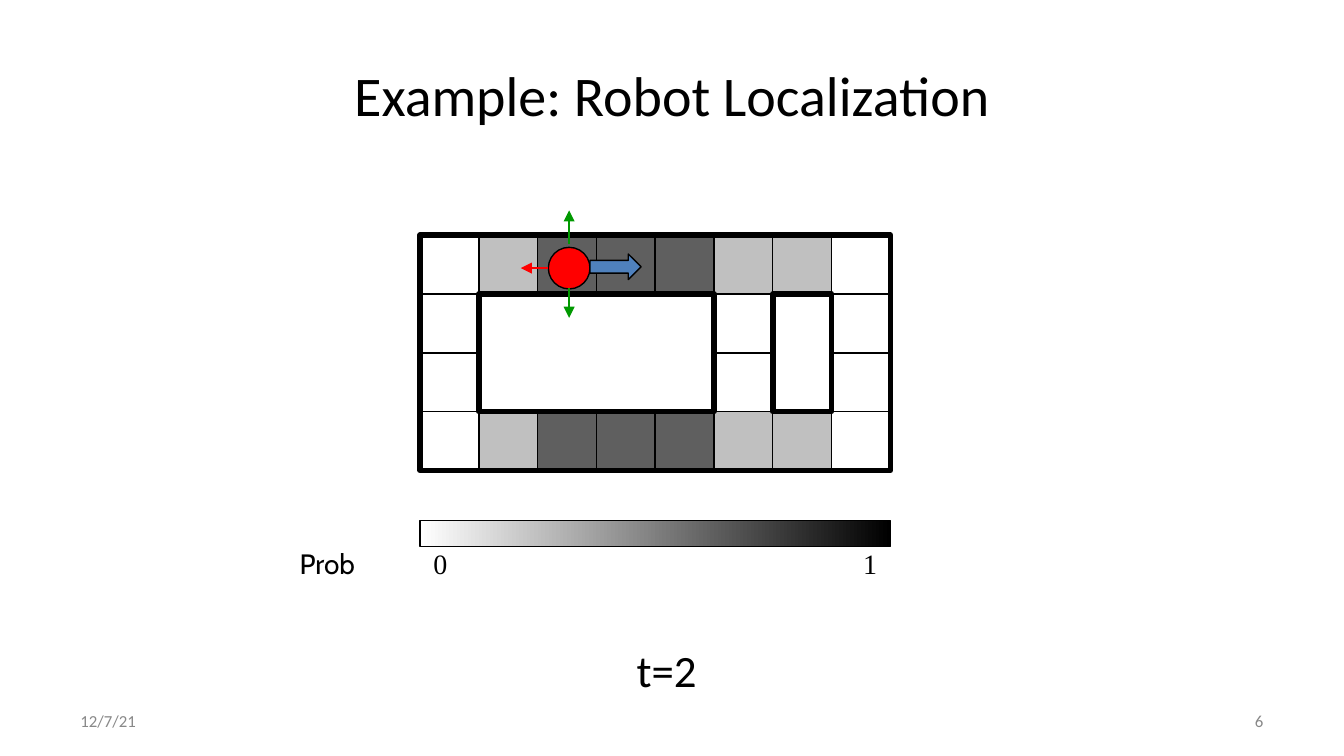
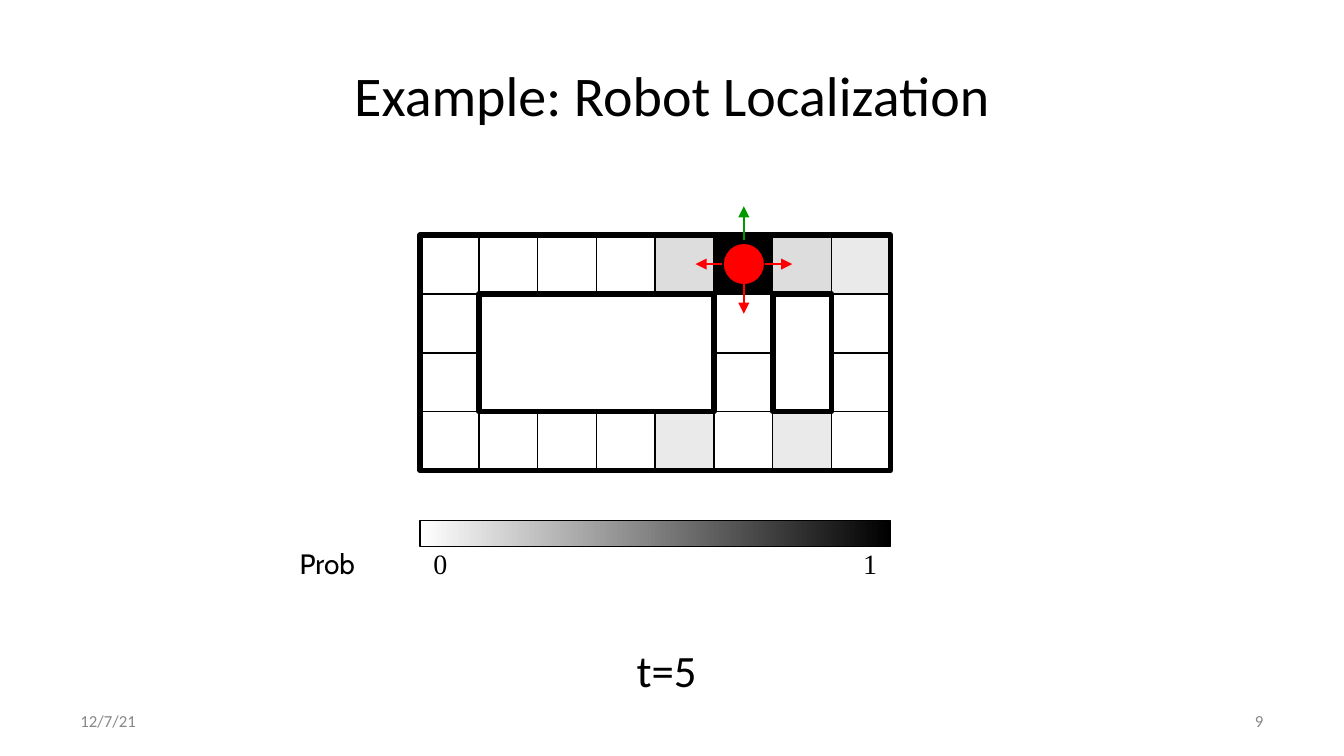
import pptx
import pptx.util
import pptx.dml.color
import pptx.enum.shapes
import pptx.enum.text
import pptx.oxml
import pptx.oxml.ns

Inches = pptx.util.Inches
Pt = pptx.util.Pt
SHAPE = pptx.enum.shapes.MSO_SHAPE
ALIGN = pptx.enum.text.PP_ALIGN
ANCHOR = pptx.enum.text.MSO_ANCHOR

BLACK, WHITE, MUTED = "000000", "FFFFFF", "888888"
RED, GREEN, BLUE = "FF0000", "009900", "4F81BD"
LIGHT, DARK, FAINT, PALE = "C0C0C0", "5F5F5F", "EAEAEA", "DDDDDD"

COLUMNS, ROWS = 8, 4
MAP_BOX = (3.125, 1.75, 3.5, 1.75)
SCALE_BOX = (3.125, 3.875, 3.5, 0.19)
WALLS = [(1, 1, 4, 2, WHITE), (0, 0, COLUMNS, ROWS, None), (6, 1, 1, 2, None)]
OPEN_COLUMNS = (0, 5, 7)
DIRECTIONS = {"up": (0, -1), "down": (0, 1), "left": (-1, 0), "right": (1, 0)}
REACH = {"up": (0.18, 0.43), "down": (0.15, 0.37),
         "left": (0.16, 0.36), "right": (0.16, 0.36)}

STEPS = [
    dict(step="t=2", number="6", robot=(4.08, 1.84), block_arrow=True,
         arrows=dict(up=GREEN, down=GREEN, left=RED),
         shades={(row, col): color for row in (0, 3)
                 for col, color in enumerate([LIGHT] + [DARK] * 3 + [LIGHT] * 2, 1)}),
    dict(step="t=5", number="9", robot=(5.38, 1.81), block_arrow=False,
         arrows=dict(up=GREEN, down=RED, right=RED, left=RED),
         shades={(0, 4): PALE, (0, 5): BLACK, (0, 6): PALE, (0, 7): FAINT,
                 (3, 4): FAINT, (3, 6): FAINT}),
]


def rgb(color):
    return pptx.dml.color.RGBColor.from_string(color)


def inches(box):
    return [Inches(v) for v in box]


def write(sp, text, size, font="Calibri", color=BLACK, align=ALIGN.LEFT,
          anchor=ANCHOR.MIDDLE, hanging=0):
    tf = sp.text_frame
    tf.word_wrap = True
    tf.auto_size = pptx.enum.text.MSO_AUTO_SIZE.NONE
    tf.vertical_anchor = anchor
    tf.margin_left = tf.margin_right = Inches(0.1)
    tf.margin_top = tf.margin_bottom = Inches(0.05)
    p = tf.paragraphs[0]
    p.alignment = align
    p.space_before = Pt(0)
    if hanging:
        pPr = p._p.get_or_add_pPr()
        pPr.set("marL", str(Inches(hanging)))
        pPr.set("indent", str(-Inches(hanging)))
        pPr.append(pptx.oxml.parse_xml(
            f"<a:buNone {pptx.oxml.ns.nsdecls('a')}/>"))
    r = p.add_run()
    r.text = text
    r.font.name = font
    r.font.size = Pt(size)
    r.font.bold = False
    r.font.color.rgb = rgb(color)


def add_text(s, box, text, size, **fmt):
    write(s.shapes.add_textbox(*inches(box)), text, size, **fmt)


def fill_placeholder(sp, box, text, size, **fmt):
    sp.left, sp.top, sp.width, sp.height = inches(box)
    write(sp, text, size, align=ALIGN.CENTER, **fmt)


def add_shape(s, kind, box, fill=None, width=0.75):
    sp = s.shapes.add_shape(kind, *inches(box))
    sp.shadow.inherit = False
    if fill:
        sp.fill.solid()
        sp.fill.fore_color.rgb = rgb(fill)
    else:
        sp.fill.background()
    sp.line.color.rgb = rgb(BLACK)
    sp.line.width = Pt(width)
    return sp


def add_arrow(s, start, end, color):
    sp = s.shapes.add_connector(pptx.enum.shapes.MSO_CONNECTOR.STRAIGHT,
                                *inches(start + end))
    sp.line.color.rgb = rgb(color)
    sp.line.width = Pt(0.75)
    ns = pptx.oxml.ns.nsdecls("a")
    sp.line._get_or_add_ln().append(
        pptx.oxml.parse_xml(f'<a:tailEnd {ns} type="triangle"/>'))
    sp._element.spPr.append(pptx.oxml.parse_xml(f"<a:effectLst {ns}/>"))


def add_frame(s, step, number):
    fill_placeholder(s.shapes.title, (0.5, 0.23, 9, 0.94),
                     "Example: Robot Localization", 30)
    fill_placeholder(s.placeholders[1], (1.77, 4.73, 6.38, 0.75), step, 24,
                     anchor=ANCHOR.TOP, hanging=0.28)
    add_text(s, (0.5, 5.21, 2.33, 0.3), "12/7/21", 9, color=MUTED)
    add_text(s, (7.17, 5.21, 2.33, 0.3), number, 9, color=MUTED, align=ALIGN.RIGHT)


def add_map(s, box, shades):
    x, y, w, h = box
    cell_w, cell_h = w / COLUMNS, h / ROWS

    def cells(col, row, across=1, down=1):
        return (x + col * cell_w, y + row * cell_h, across * cell_w, down * cell_h)

    for row in range(ROWS):
        for col in range(COLUMNS) if row in (0, ROWS - 1) else OPEN_COLUMNS:
            add_shape(s, SHAPE.RECTANGLE, cells(col, row), shades.get((row, col)))
    for *span, fill in WALLS:
        add_shape(s, SHAPE.RECTANGLE, cells(*span), fill, width=3)


def add_scale(s, box):
    x, y, w, h = box
    bar = add_shape(s, SHAPE.RECTANGLE, box)
    bar.fill.gradient()
    bar.fill.gradient_angle = 0
    for stop, color, position in zip(bar.fill.gradient_stops, (WHITE, BLACK), (0, 1)):
        stop.color.rgb = rgb(color)
        stop.position = position
    top = y + h
    serif = "Times New Roman"
    add_text(s, (x + w / 2, top, w / 2, 0.25), "1", 15, font=serif, align=ALIGN.RIGHT)
    add_text(s, (x, top, w / 2, 0.25), "0", 15, font=serif)
    add_text(s, (x - 1.25, top, 1.12, 0.25), "Prob", 15, font="Cabin",
             align=ALIGN.CENTER)


def add_robot(s, corner, arrows, block_arrow):
    x, y = corner
    size = 0.31
    cx, cy = x + size / 2, y + size / 2
    add_shape(s, SHAPE.OVAL, (x, y, size, size), RED)
    for name, color in arrows.items():
        dx, dy = DIRECTIONS[name]
        start, end = [(cx + dx * d, cy + dy * d) for d in REACH[name]]
        add_arrow(s, start, end, color)
    if block_arrow:
        add_shape(s, SHAPE.RIGHT_ARROW, (x + size, y + 0.05, 0.38, 0.19), BLUE)


def add_step(prs, step, number, robot, block_arrow, arrows, shades):
    s = prs.slides.add_slide(prs.slide_layouts[1])
    add_frame(s, step, number)
    add_map(s, MAP_BOX, shades)
    add_scale(s, SCALE_BOX)
    add_robot(s, robot, arrows, block_arrow)


def main():
    prs = pptx.Presentation()
    prs.slide_width, prs.slide_height = Inches(10), Inches(5.625)
    for step in STEPS:
        add_step(prs, **step)
    prs.save("out.pptx")


if __name__ == "__main__":
    main()
